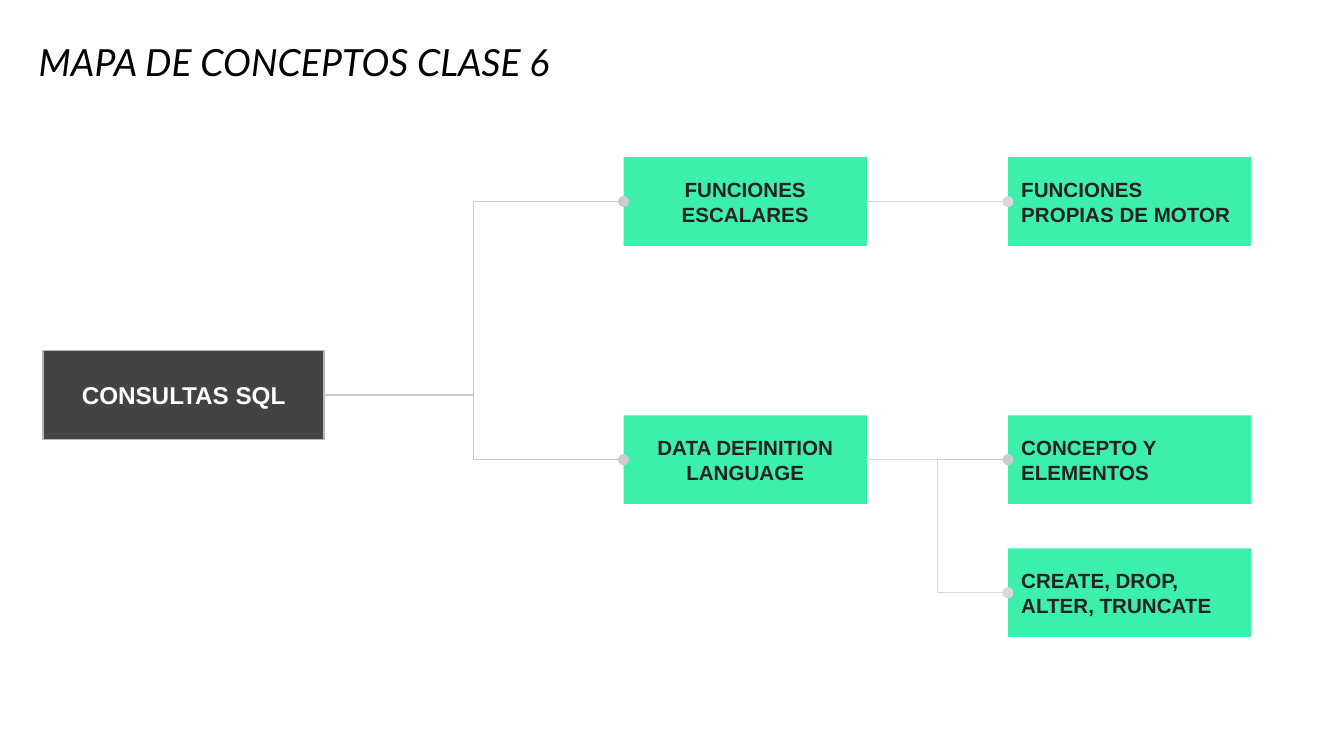
import pptx
import pptx.util
import pptx.dml.color
import pptx.enum.shapes
import pptx.enum.text
import pptx.oxml
import pptx.oxml.ns

Inches, Pt = pptx.util.Inches, pptx.util.Pt
RGBColor = pptx.dml.color.RGBColor
PP_ALIGN = pptx.enum.text.PP_ALIGN
MSO_ANCHOR = pptx.enum.text.MSO_ANCHOR
MSO_CONNECTOR = pptx.enum.shapes.MSO_CONNECTOR

BLACK = RGBColor(0x00, 0x00, 0x00)
WHITE = RGBColor(0xFF, 0xFF, 0xFF)
CHARCOAL = RGBColor(0x43, 0x43, 0x43)
INK = RGBColor(0x22, 0x22, 0x22)
MINT = RGBColor(0x3C, 0xEF, 0xAB)
BORDER = RGBColor(0xB7, 0xB7, 0xB7)
GRAY = RGBColor(0xCC, 0xCC, 0xCC)
LIGHT_GRAY = RGBColor(0xD9, 0xD9, 0xD9)

BOX_HEIGHT = 0.66
TOPIC_LEFT, DETAIL_LEFT, BOX_WIDTH = 4.64, 7.5, 1.81
SCALAR_TOP, DDL_TOP, COMMANDS_TOP = 1.17, 3.09, 4.08

# 16:9 slide
deck = pptx.Presentation()
deck.slide_width, deck.slide_height = Inches(10), Inches(10 * 9 / 16)
slide = deck.slides.add_slide(deck.slide_layouts[6])


def add_concept(text, left, top, width, fill, color, size, align):
    concept = slide.shapes.add_shape(
        pptx.enum.shapes.MSO_SHAPE.RECTANGLE,
        Inches(left), Inches(top), Inches(width), Inches(BOX_HEIGHT))
    concept.shadow.inherit = False
    concept.fill.solid()
    concept.fill.fore_color.rgb = fill
    concept.line.fill.background()
    frame = concept.text_frame
    frame.word_wrap = True
    frame.vertical_anchor = MSO_ANCHOR.MIDDLE
    frame.margin_left = frame.margin_right = Inches(0.1)
    frame.margin_top = frame.margin_bottom = Inches(0.1)
    paragraph = frame.paragraphs[0]
    paragraph.alignment = align
    run = paragraph.add_run()
    run.text = text
    run.font.name = "Arial"
    run.font.size = Pt(size)
    run.font.bold = True
    run.font.color.rgb = color
    return concept


# Title
title = slide.shapes.add_textbox(Inches(0.19), Inches(0.22), Inches(8.26), Inches(0.46))
title.text_frame.word_wrap = True
title.text_frame.vertical_anchor = MSO_ANCHOR.BOTTOM
heading = title.text_frame.paragraphs[0]
heading.line_spacing = 0.9
heading_run = heading.add_run()
heading_run.text = "MAPA DE CONCEPTOS CLASE 6"
heading_run.font.name = "Lato"
heading_run.font.size = Pt(20)
heading_run.font.italic = True
heading_run.font.color.rgb = BLACK

# Root concept
queries = add_concept("CONSULTAS SQL", 0.32, 2.61, 2.09, CHARCOAL, WHITE, 13, PP_ALIGN.CENTER)
queries.line.color.rgb = BORDER
queries.line.width = Pt(0.75)

# Topics, centred, and their details, left-aligned
concepts = {}
for name, text, left, top, align in [
    ("scalar", "FUNCIONES ESCALARES", TOPIC_LEFT, SCALAR_TOP, PP_ALIGN.CENTER),
    ("ddl", "DATA DEFINITION LANGUAGE", TOPIC_LEFT, DDL_TOP, PP_ALIGN.CENTER),
    ("builtin", "FUNCIONES PROPIAS DE MOTOR", DETAIL_LEFT, SCALAR_TOP, PP_ALIGN.LEFT),
    ("elements", "CONCEPTO Y ELEMENTOS", DETAIL_LEFT, DDL_TOP, PP_ALIGN.LEFT),
    ("commands", "CREATE, DROP, ALTER, TRUNCATE", DETAIL_LEFT, COMMANDS_TOP, PP_ALIGN.LEFT),
]:
    concepts[name] = add_concept(text, left, top, BOX_WIDTH, MINT, INK, 11, align)

# Branches from the right side of a parent to the left side of a child
for parent, child, kind, color in [
    (queries, concepts["scalar"], MSO_CONNECTOR.ELBOW, GRAY),
    (queries, concepts["ddl"], MSO_CONNECTOR.ELBOW, GRAY),
    (concepts["ddl"], concepts["elements"], MSO_CONNECTOR.STRAIGHT, GRAY),
    (concepts["scalar"], concepts["builtin"], MSO_CONNECTOR.STRAIGHT, LIGHT_GRAY),
    (concepts["ddl"], concepts["commands"], MSO_CONNECTOR.ELBOW, LIGHT_GRAY),
]:
    branch = slide.shapes.add_connector(kind, 0, 0, 0, 0)
    branch.begin_connect(parent, 3)
    branch.end_connect(child, 1)
    branch.line.color.rgb = color
    branch.line.width = Pt(0.75)
    outline = branch.line._get_or_add_ln()
    outline.append(pptx.oxml.parse_xml(
        f'<a:tailEnd {pptx.oxml.ns.nsdecls("a")} type="oval" w="med" len="med"/>'))
    branch._element.spPr.append(pptx.oxml.parse_xml(
        f'<a:effectLst {pptx.oxml.ns.nsdecls("a")}/>'))

deck.save("out.pptx")
